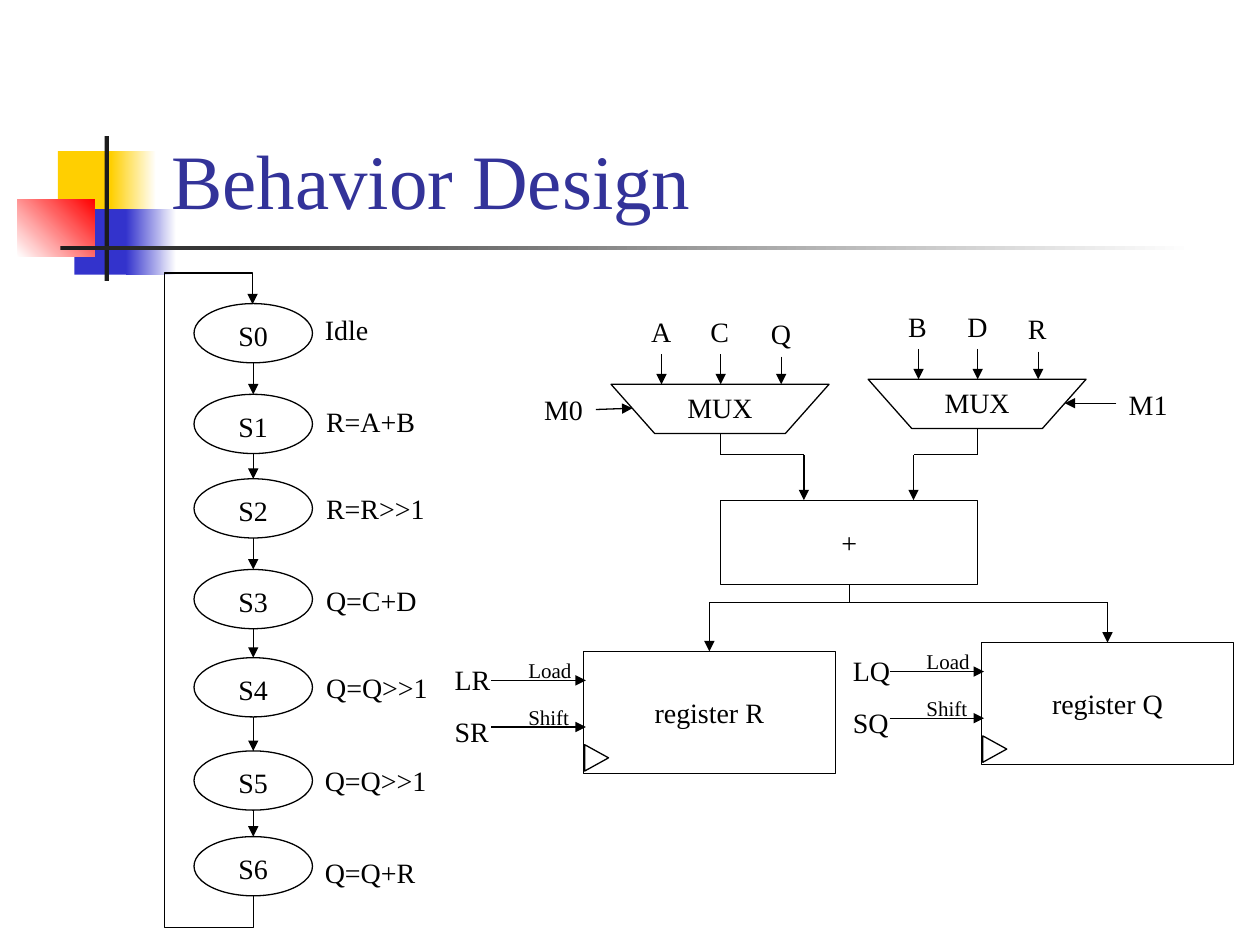
from dataclasses import dataclass
from itertools import pairwise

from lxml import etree
from pptx import Presentation
from pptx.dml.color import RGBColor
from pptx.enum.shapes import MSO_CONNECTOR, MSO_SHAPE
from pptx.enum.text import MSO_ANCHOR, MSO_AUTO_SIZE, PP_ALIGN
from pptx.oxml.ns import qn
from pptx.util import Inches, Pt

RECT, OVAL = MSO_SHAPE.RECTANGLE, MSO_SHAPE.OVAL
TRAPEZOID = MSO_SHAPE.FLOWCHART_MANUAL_OPERATION
TRIANGLE = MSO_SHAPE.ISOSCELES_TRIANGLE
STRAIGHT, ELBOW = MSO_CONNECTOR.STRAIGHT, MSO_CONNECTOR.ELBOW
TOP, MIDDLE, BOTTOM = MSO_ANCHOR.TOP, MSO_ANCHOR.MIDDLE, MSO_ANCHOR.BOTTOM
LEFT, CENTER = PP_ALIGN.LEFT, PP_ALIGN.CENTER
GROW = MSO_AUTO_SIZE.SHAPE_TO_FIT_TEXT


@dataclass(frozen=True)
class Theme:
    font: str = "Times New Roman"
    title: int = 44
    body: int = 16
    small: int = 12
    stroke: float = 0.75
    ink: str = "000000"
    heading: str = "333399"
    yellow: str = "FFCF01"
    blue: str = "3333CC"
    red: str = "FF0000"
    dark: str = "1C1C1C"
    paper: str = "FFFFFF"


THEME = Theme()
WIDTH, HEIGHT = Inches(10), Inches(7.5)
CELL = WIDTH / 100

STATES = [
    ("S0", 24.1, "Idle", 24.8, 24.3, 5.5),
    ("S1", 31.3, "R=A+B", 24.9, 31.6, 9.1),
    ("S2", 38.0, "R=R>>1", 24.9, 38.5, 9.9),
    ("S3", 45.2, "Q=C+D", 24.9, 45.8, 9.3),
    ("S4", 52.2, "Q=Q>>1", 24.9, 52.7, 10.2),
    ("S5", 59.6, "Q=Q>>1", 24.8, 60.1, 10.2),
    ("S6", 66.4, "Q=Q+R", 24.8, 67.4, 9.3),
]
STATE_LEFT, STATE_WIDTH, STATE_HEIGHT = 15.4, 9.4, 4.7


def grid(*cells):
    return [round(cell * CELL) for cell in cells]


def rgb(color):
    return RGBColor.from_string(color)


def write(holder, words, size=THEME.body, color=THEME.ink, align=CENTER, **frame_format):
    frame = holder.text_frame
    for name, value in frame_format.items():
        setattr(frame, name, value)
    paragraph = frame.paragraphs[0]
    paragraph.alignment = align
    run = paragraph.add_run()
    run.text = words
    for name, value in {"name": THEME.font, "size": Pt(size)}.items():
        setattr(run.font, name, value)
    run.font.color.rgb = rgb(color)


def label(slide, words, x, y, width, height=3.7, size=THEME.body):
    box = slide.shapes.add_textbox(*grid(x, y, width, height))
    write(box, words, size, align=LEFT, word_wrap=False, auto_size=GROW)


def outline(slide, kind, x, y, width, height, words="", anchor=TOP):
    block = slide.shapes.add_shape(kind, *grid(x, y, width, height))
    block.shadow.inherit = False
    block.fill.background()
    block.line.color.rgb = rgb(THEME.ink)
    block.line.width = Pt(THEME.stroke)
    if words:
        write(block, words, vertical_anchor=anchor)
    return block


def wire(slide, x1, y1, x2, y2, arrow=True, kind=STRAIGHT):
    link = slide.shapes.add_connector(kind, *grid(x1, y1, x2, y2))
    link.line.color.rgb = rgb(THEME.ink)
    link.line.width = Pt(THEME.stroke)
    if arrow:
        etree.SubElement(link.line._get_or_add_ln(), qn("a:tailEnd"), type="triangle")
    etree.SubElement(link._element.spPr, qn("a:effectLst"))
    return link


def polyline(slide, *points):
    for index, (start, end) in enumerate(pairwise(points), 2):
        wire(slide, *start, *end, arrow=index == len(points))


def patch(slide, at, start, end=None, angle=0):
    area = slide.shapes.add_shape(RECT, *grid(*at))
    area.shadow.inherit = False
    area.line.fill.background()
    if end is None:
        area.fill.solid()
        area.fill.fore_color.rgb = rgb(start)
        return
    area.fill.gradient()
    area.fill.gradient_angle = angle
    for stop, color in zip(area.fill.gradient_stops, (start, end)):
        stop.color.rgb = rgb(color)


def heading(slide):
    patch(slide, (4.6, 12, 4.8, 5.2), THEME.yellow)
    patch(slide, (8.8, 12, 3.6, 5.2), THEME.yellow, THEME.paper)
    patch(slide, (5.9, 16.6, 4.6, 5.2), THEME.blue)
    patch(slide, (10, 16.6, 4, 5.2), THEME.blue, THEME.paper)
    patch(slide, (1.4, 15.8, 6.1, 4.6), THEME.paper, THEME.red, 45)
    patch(slide, (8.3, 10.8, 0.35, 11.5), THEME.dark)
    patch(slide, (4.8, 19.5, 90, 0.35), THEME.dark, THEME.paper)
    title = slide.shapes.add_textbox(*grid(12.6, 2.35, 85.2, 16))
    write(title, "Behavior Design", THEME.title, THEME.heading, LEFT,
          word_wrap=True, vertical_anchor=BOTTOM)


def return_loop(slide):
    loop = wire(slide, 43.6, 47.6, -3.4, 47.7, kind=ELBOW)
    properties = loop._element.spPr
    properties.find(qn("a:xfrm")).set("rot", "5400000")
    geometry = properties.find(qn("a:prstGeom"))
    geometry.set("prst", "bentConnector5")
    guides = geometry.find(qn("a:avLst"))
    for name, value in {"adj1": -5300, "adj2": 7200000, "adj3": 105300}.items():
        etree.SubElement(guides, qn("a:gd"), name=name, fmla=f"val {value}")


def state_machine(slide):
    for state, top, action, x, y, width in STATES:
        outline(slide, OVAL, STATE_LEFT, top, STATE_WIDTH, STATE_HEIGHT, state)
        label(slide, action, x, y, width)
    center = STATE_LEFT + STATE_WIDTH / 2
    for upper, lower in pairwise(STATES):
        wire(slide, center, upper[1] + STATE_HEIGHT, center, lower[1])
    return_loop(slide)


def mux(slide, x, y, inputs):
    outline(slide, TRAPEZOID, x, y, 17.3, 3.9, "MUX")
    offsets = [(2.2, 4, 0), (6.9, 8.7, 0), (11.7, 13.5, 0.2)]
    for name, (text_dx, arrow_dx, drop) in zip(inputs, offsets):
        label(slide, name, x + text_dx, y - 6.05 + drop, 3.7)
        wire(slide, x + arrow_dx, y - 2.4 + drop, x + arrow_dx, y)


def register(slide, x, y, name):
    outline(slide, RECT, x, y, 20, 9.7, f"register {name}", MIDDLE)
    outline(slide, TRIANGLE, x, y + 7.5, 2.1, 1.9).rotation = 90
    for action, row, width, signal_row in (("Load", 0, 5.6, 0.4), ("Shift", 3.7, 5.6, 4.5)):
        label(slide, action, x - 5.35, y + row, width, 3, THEME.small)
        wire(slide, x - 7.3, y + row + 2.3, x + 0.2, y + row + 2.3)
        label(slide, action[0] + name, x - 11.2, y + signal_row, 5.4)


def datapath(slide):
    mux(slide, 68.9, 30.1, "BDR")
    label(slide, "M1", 88.6, 30.3, 5.2)
    wire(slide, 88.6, 32, 84.5, 32)
    mux(slide, 48.5, 30.5, "ACQ")
    label(slide, "M0", 42.2, 30.7, 5.2)
    wire(slide, 47.3, 32.5, 50.2, 32.4)
    outline(slide, RECT, 57.2, 39.7, 20.4, 6.7, "+", MIDDLE)
    register(slide, 46.3, 51.7, "R")
    register(slide, 77.9, 51, "Q")
    polyline(slide, (57.2, 34.4), (57.2, 36.1), (63.8, 36.1), (63.8, 39.7))
    polyline(slide, (77.6, 34), (77.6, 36.1), (72.5, 36.1), (72.5, 39.7))
    wire(slide, 67.4, 46.4, 67.4, 47.8, arrow=False)
    wire(slide, 56.3, 47.8, 87.9, 47.8, arrow=False)
    wire(slide, 56.3, 47.8, 56.3, 51.7)
    wire(slide, 87.9, 47.8, 87.9, 51)


def main():
    deck = Presentation()
    deck.slide_width, deck.slide_height = WIDTH, HEIGHT
    slide = deck.slides.add_slide(deck.slide_layouts[6])
    heading(slide)
    state_machine(slide)
    datapath(slide)
    deck.save("out.pptx")


main()
